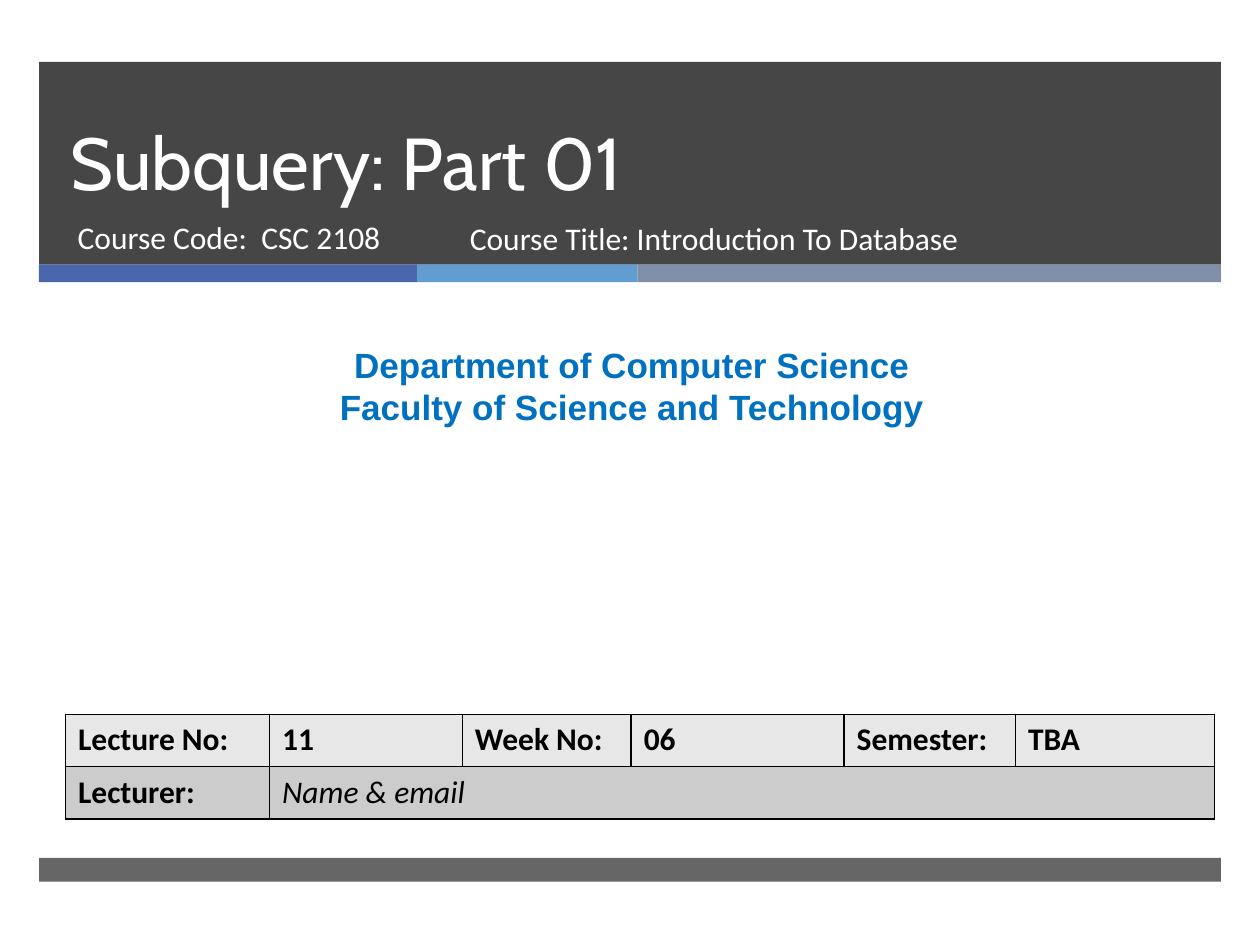
from collections import namedtuple

from lxml.etree import SubElement
from pptx import Presentation
from pptx.dml.color import RGBColor
from pptx.enum.shapes import MSO_SHAPE
from pptx.enum.text import MSO_ANCHOR, MSO_AUTO_SIZE, PP_ALIGN
from pptx.oxml.ns import qn
from pptx.util import Inches, Pt

Box = namedtuple("Box", "left top width height")

WHITE, BLACK, CHARCOAL, BLUE = "FFFFFF", "000000", "262626", "0070C0"
STRIPES = [(3, "4A66AC"), (1.75, "629DD1"), (4.63, "7F8FA9")]
COLUMN_WIDTHS = [1.62, 1.53, 1.34, 1.69, 1.36, 1.58]
LECTURE_ROWS = [
    ("E7E7E7", ["Lecture No:", "11", "Week No:", "06", "Semester:", "TBA"]),
    ("CCCCCC", ["Lecturer:", "Name & email"]),
]


def color(hex_value):
    return RGBColor.from_string(hex_value)


def inches(box):
    return [Inches(length) for length in box]


def part(box, left, top, width, height):
    """Return the box at the given shares of another box."""
    return Box(box.left + left * box.width, box.top + top * box.height,
               width * box.width, height * box.height)


def write(frame, *lines, font="Calibri", size=18, fill=WHITE, bold=False, italic=False,
          align=PP_ALIGN.LEFT, anchor=MSO_ANCHOR.TOP, spacing=None):
    """Fill a text frame or table cell frame with one paragraph per line."""
    frame.word_wrap = True
    frame.vertical_anchor = anchor
    for index, line in enumerate(lines):
        paragraph = frame.add_paragraph() if index else frame.paragraphs[0]
        paragraph.alignment = align
        paragraph.space_before = Pt(0)
        if spacing:
            paragraph.line_spacing = Pt(spacing)
        run = paragraph.add_run()
        run.text = line
        run.font.name, run.font.size = font, Pt(size)
        run.font.bold, run.font.italic = bold, italic
        run.font.color.rgb = color(fill)


def add_bar(slide, box, fill, opacity=100):
    bar = slide.shapes.add_shape(MSO_SHAPE.RECTANGLE, *inches(box))
    bar.shadow.inherit = False
    bar.fill.solid()
    bar.fill.fore_color.rgb = color(fill)
    bar.line.fill.background()
    if opacity < 100:
        tint = bar.fill._xPr.find(qn("a:solidFill"))[0]
        SubElement(tint, qn("a:alpha"), val=str(opacity * 1000))


def add_text(slide, box, *lines, **text_format):
    write(slide.shapes.add_textbox(*inches(box)).text_frame, *lines, **text_format)


def fill_placeholder(placeholder, box, *lines, **text_format):
    placeholder.left, placeholder.top, placeholder.width, placeholder.height = inches(box)
    placeholder.text_frame.auto_size = MSO_AUTO_SIZE.NONE
    write(placeholder.text_frame, *lines, **text_format)


def add_header(slide, box):
    """Draw the title band with its stripes, title and course details."""
    band_share = 0.92
    add_bar(slide, part(box, 0, 0, 1, band_share), CHARCOAL, opacity=85)
    total = sum(width for width, _ in STRIPES)
    left = 0
    for width, fill in STRIPES:
        share = width / total
        add_bar(slide, part(box, left, band_share, share, 1 - band_share), fill)
        left += share
    fill_placeholder(slide.shapes.title, part(box, 0.016, 0, 0.91, 0.68),
                     "Subquery: Part 01", font="Cabin", size=42,
                     anchor=MSO_ANCHOR.BOTTOM, spacing=46)
    fill_placeholder(slide.placeholders[1], part(box, 0.022, 0.68, 0.325, 0.3),
                     "Course Code:  CSC 2108")
    add_text(slide, part(box, 0.354, 0.685, 0.485, 0.3),
             "Course Title: Introduction To Database")


def add_borders(cell):
    """Draw a thin black line on every side; lines must precede the fill."""
    properties = cell._tc.get_or_add_tcPr()
    for index, side in enumerate(("a:lnL", "a:lnR", "a:lnT", "a:lnB")):
        line = SubElement(properties, qn(side), w=str(Pt(1)))
        fill = SubElement(line, qn("a:solidFill"))
        SubElement(fill, qn("a:srgbClr"), val=BLACK)
        properties.insert(index, line)


def add_lecture_table(slide, box):
    table = slide.shapes.add_table(len(LECTURE_ROWS), len(COLUMN_WIDTHS), *inches(box)).table
    for column, width in zip(table.columns, COLUMN_WIDTHS):
        column.width = Inches(box.width * width / sum(COLUMN_WIDTHS))
    table.cell(1, 1).merge(table.cell(1, len(COLUMN_WIDTHS) - 1))
    for row, (fill, texts) in zip(table.rows, LECTURE_ROWS):
        for cell in row.cells:
            cell.fill.solid()
            cell.fill.fore_color.rgb = color(fill)
            add_borders(cell)
        for cell, text in zip(row.cells, texts):
            is_prompt = text == "Name & email"
            write(cell.text_frame, text, fill=BLACK, bold=not is_prompt, italic=is_prompt)


def main():
    presentation = Presentation()
    presentation.slide_width, presentation.slide_height = Inches(10), Inches(7.5)
    slide = presentation.slides.add_slide(presentation.slide_layouts[0])
    page = Box(0, 0, 10, 7.5)
    # Bars go behind the placeholders that the layout has already supplied.
    placeholders = list(slide.placeholders)
    add_header(slide, Box(0.31, 0.49, 9.38, 1.75))
    for placeholder in placeholders:
        slide.shapes._spTree.append(placeholder._element)
    add_text(slide, part(page, 0.008, 0.357, 0.987, 0.103),
             "Department of Computer Science", "Faculty of Science and Technology",
             font="Arial", size=20, fill=BLUE, bold=True, align=PP_ALIGN.CENTER)
    add_lecture_table(slide, Box(0.52, 5.67, sum(COLUMN_WIDTHS), 0.83))
    add_bar(slide, part(page, 0.031, 0.908, 0.938, 0.025), CHARCOAL, opacity=70)
    presentation.save("out.pptx")


if __name__ == "__main__":
    main()
